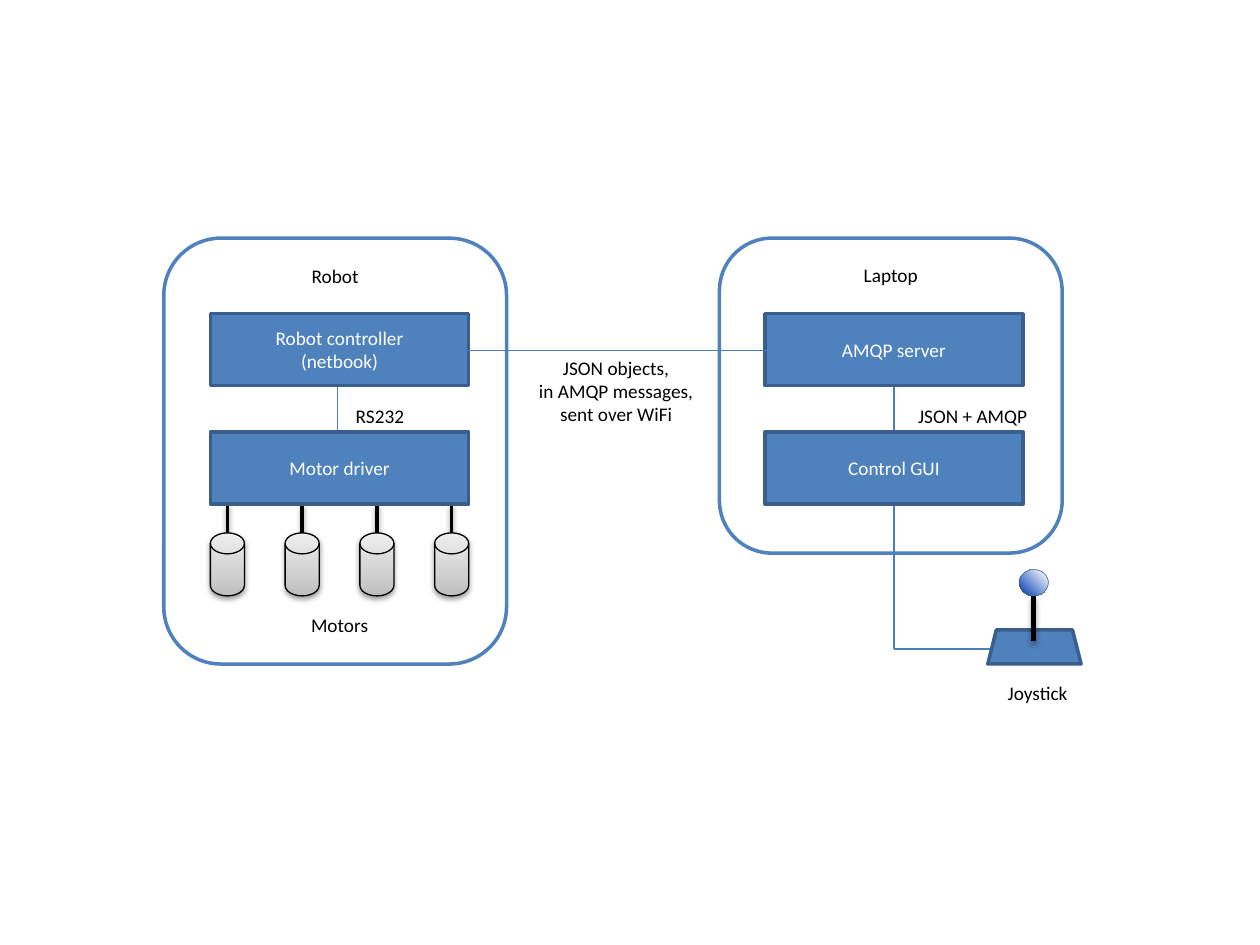
"""Build the robot control architecture slide."""
from lxml.etree import SubElement
from pptx import Presentation
from pptx.dml.color import RGBColor
from pptx.enum.shapes import MSO_CONNECTOR, MSO_SHAPE as Shape
from pptx.enum.text import MSO_ANCHOR as Anchor, PP_ALIGN as Align
from pptx.oxml.ns import qn
from pptx.util import Inches, Pt

BLUE = RGBColor(0x4F, 0x81, 0xBD)
DARK_BLUE = RGBColor(0x3A, 0x5F, 0x8C)
LINK_BLUE = RGBColor(0x4B, 0x7E, 0xBC)
BLACK = RGBColor(0, 0, 0)
WHITE = RGBColor(255, 255, 255)
METAL = [(0, RGBColor(0xBD, 0xBD, 0xBD)), (35, RGBColor(0xD1, 0xD1, 0xD1)),
         (100, RGBColor(0xEE, 0xEE, 0xEE))]
KNOB = [(0, RGBColor(0x16, 0x2B, 0x52)), (25, RGBColor(0x3D, 0x6C, 0xC5)), (94, WHITE)]

BOX_WIDTH, BOX_HEIGHT = 2.05, 0.57
ROBOT_X, LAPTOP_X = 1.67, 6.07
TOP_ROW, BOTTOM_ROW = 2.49, 3.43
MOTOR_COUNT, MOTOR_WIDTH = 4, 0.27
MOTOR_PITCH = (BOX_WIDTH - MOTOR_WIDTH) / (MOTOR_COUNT - 1)
MOTOR_XS = [ROBOT_X + index * MOTOR_PITCH for index in range(MOTOR_COUNT)]
LAPTOP_MIDDLE = LAPTOP_X + BOX_WIDTH / 2

PANELS = [("Robot", (1.3, 1.89, 2.72, 3.38)), ("Laptop", (5.71, 1.89, 2.72, 2.5))]
BOXES = [
    (["Robot controller", "(netbook)"], ROBOT_X, TOP_ROW),
    (["Motor driver"], ROBOT_X, BOTTOM_ROW),
    (["AMQP server"], LAPTOP_X, TOP_ROW),
    (["Control GUI"], LAPTOP_X, BOTTOM_ROW),
]
LABELS = [
    ("Motors", (ROBOT_X, 4.79, BOX_WIDTH, 0.36)),
    ("RS232", (2.62, 3.13, 0.79, 0.25)),
    ("JSON + AMQP", (7.11, 3.13, 1.22, 0.25)),
    ("Joystick", (7.84, 5.33, 0.79, 0.42)),
]
MESSAGE = ["JSON objects,", "in AMQP messages,", "sent over WiFi"]
LAPTOP_LINKS = [
    ((LAPTOP_MIDDLE, 4), (LAPTOP_MIDDLE, 5.15)),
    ((LAPTOP_MIDDLE, 5.15), (8.02, 5.15)),
    ((LAPTOP_MIDDLE, 2.89), (LAPTOP_MIDDLE, 3.47)),
]

deck = Presentation()
deck.slide_width, deck.slide_height = Inches(10), Inches(7.5)
page = deck.slides.add_slide(deck.slide_layouts[6])


def write(box, lines, color=BLACK, anchor=Anchor.TOP, spaced=True):
    """Fill a shape with centred lines of text."""
    frame = box.text_frame
    frame.word_wrap = True
    frame.vertical_anchor = anchor
    for index, line in enumerate(lines):
        para = frame.add_paragraph() if index else frame.paragraphs[0]
        para.alignment = Align.CENTER
        if spaced:
            para.line_spacing, para.space_after = 1.15, Pt(10)
        span = para.add_run()
        span.text = line
        span.font.name, span.font.size = "Calibri", Pt(11)
        span.font.color.rgb = color


def add_color(parent, color, alpha=None):
    """Append an RGB colour, with an optional opacity in percent."""
    node = SubElement(parent, qn("a:srgbClr"), val=str(color))
    if alpha:
        SubElement(node, qn("a:alpha"), val=str(alpha * 1000))


def add_shadow(effects, alpha, distance):
    """Append a soft shadow that falls straight down."""
    shadow = SubElement(effects, qn("a:outerShdw"), blurRad=str(Pt(3.1)),
                        dist=str(Pt(distance)), dir="5400000", rotWithShape="0")
    add_color(shadow, BLACK, alpha)


def add_line(start, end, color=LINK_BLUE, width=0.75, shadow=None):
    """Draw a straight connector, with an optional (alpha, distance) shadow."""
    ends = [Inches(value) for value in (*start, *end)]
    line = page.shapes.add_connector(MSO_CONNECTOR.STRAIGHT, *ends)
    line.line.color.rgb, line.line.width = color, Pt(width)
    effects = SubElement(line._element.spPr, qn("a:effectLst"))
    if shadow:
        add_shadow(effects, *shadow)


def add_shape(kind, bounds, fill=None, line=DARK_BLUE, width=2, angle=0, shadow=None):
    """Draw a preset shape with no fill, a plain colour or gradient stops."""
    shape = page.shapes.add_shape(kind, *map(Inches, bounds))
    if fill is None:
        shape.fill.background()
    elif isinstance(fill, RGBColor):
        shape.fill.solid()
        shape.fill.fore_color.rgb = fill
    else:
        shape.fill.gradient()
        gradient = shape._element.spPr.find(qn("a:gradFill"))
        for child in list(gradient):
            gradient.remove(child)
        stops = SubElement(gradient, qn("a:gsLst"))
        for position, color in fill:
            add_color(SubElement(stops, qn("a:gs"), pos=str(position * 1000)), color)
        SubElement(gradient, qn("a:lin"), ang=str(angle * 60000), scaled="0")
    shape.line.color.rgb, shape.line.width = line, Pt(width)
    shape.shadow.inherit = False
    if shadow:
        add_shadow(shape._element.spPr.find(qn("a:effectLst")), *shadow)
    return shape


def add_label(lines, bounds, spaced=True):
    """Place a text box with centred black text."""
    write(page.shapes.add_textbox(*map(Inches, bounds)), lines, spaced=spaced)


for start, end in LAPTOP_LINKS:
    add_line(start, end)
for name, bounds in PANELS:
    write(add_shape(Shape.ROUNDED_RECTANGLE, bounds, line=BLUE), [name])
for left in MOTOR_XS:
    axle = left + MOTOR_WIDTH / 2
    add_line((axle, 4), (axle, 4.4), BLACK, 2, shadow=(38, 1.6))
add_line((2.68, 2.85), (2.68, 3.62))
for lines, left, top in BOXES:
    box = add_shape(Shape.RECTANGLE, (left, top, BOX_WIDTH, BOX_HEIGHT), BLUE)
    write(box, lines, WHITE, Anchor.MIDDLE, spaced=False)
for left in MOTOR_XS:
    add_shape(Shape.FLOWCHART_MAGNETIC_DISK, (left, 4.23, MOTOR_WIDTH, 0.5), METAL,
              BLACK, 0.75, angle=270, shadow=(38, 1.6))
add_line((3.57, 2.78), (6.25, 2.78))
add_label(MESSAGE, (4.07, 2.78, 1.64, 0.97), spaced=False)
add_shape(Shape.TRAPEZOID, (7.84, 5, 0.74, 0.27), BLUE)
add_line((8.2, 5.09), (8.2, 4.73), BLACK, 3, shadow=(35, 1.8))
add_shape(Shape.OVAL, (8.09, 4.52, 0.23, 0.21), KNOB, width=0.25, angle=315)
for text, bounds in LABELS:
    add_label([text], bounds)

deck.save("out.pptx")
